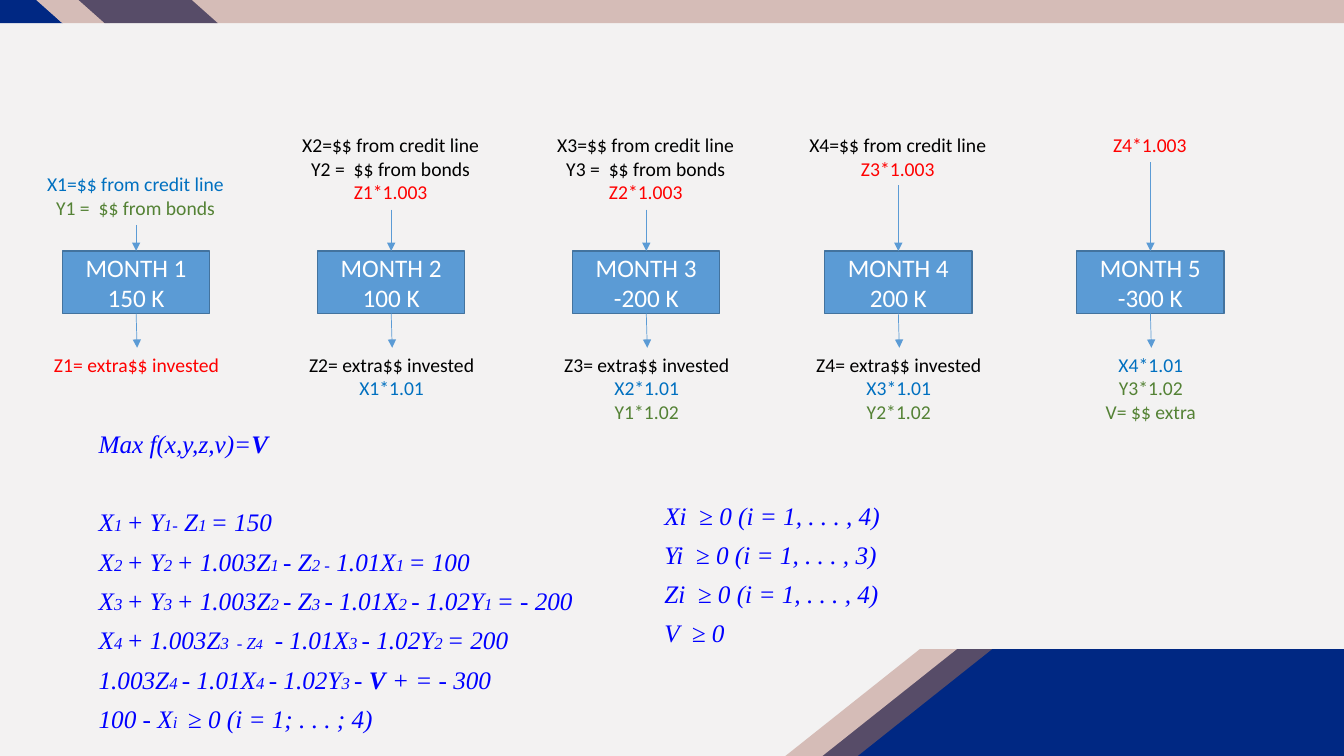
from lxml import etree
from pptx import Presentation
from pptx.dml import color
from pptx.enum import shapes, text
from pptx.oxml import ns
from pptx.util import Pt

PX = 9144
NAVY, PLUM, ROSE = "002883", "574C68", "D5BCB7"
BLACK, BLUE, GREEN, RED = "000000", "0070C0", "548235", "FF0000"
WHITE, FORMULA, BOX, EDGE = "FFFFFF", "0000FF", "5B9BD5", "43739E"


def paint(fill, colour):
    fill.solid()
    fill.fore_color.rgb = color.RGBColor.from_string(colour)


def write(frame, lines, frame_format, paragraph_format, font_name):
    for name, value in frame_format.items():
        setattr(frame, name, value)
    for index, runs in enumerate(lines):
        paragraph = frame.add_paragraph() if index else frame.paragraphs[0]
        for name, value in paragraph_format.items():
            setattr(paragraph, name, value)
        for words, colour, font_format in runs:
            run = paragraph.add_run()
            run.text = words
            run.font.name = font_name
            paint(run.font.fill, colour)
            for name, value in font_format.items():
                setattr(run.font, name, value)


presentation = Presentation()
presentation.slide_width = 1333 * PX
presentation.slide_height = 750 * PX
slide = presentation.slides.add_slide(presentation.slide_layouts[6])
paint(slide.background.fill, "F3F2F2")

outlines = [
    (NAVY, [(847, 750), (980, 644), (1333, 644), (1333, 750)]),
    (NAVY, [(0, 23), (0, 0), (37, 0), (62, 23)]),
    (ROSE, [(1333, 23), (1333, 0), (187, 0), (213, 23)]),
]
for colour, points in outlines:
    builder = slide.shapes.build_freeform(*points[0], scale=PX)
    builder.add_line_segments(points[1:], close=True)
    shape = builder.convert_to_shape()
    shape.shadow.inherit = False
    paint(shape.fill, colour)
    shape.line.fill.background()

bands = [
    (ROSE, 36, 0, 73, 23, 1.125, True),
    (PLUM, 78, 0, 138, 23, 1.125, True),
    (PLUM, 814, 644, 170, 106, 1.258, False),
    (ROSE, 779, 644, 170, 106, 1.258, False),
]
for colour, left, top, width, height, slant, flipped in bands:
    shape = slide.shapes.add_shape(
        shapes.MSO_SHAPE.PARALLELOGRAM, left * PX, top * PX, width * PX, height * PX)
    shape.adjustments[0] = slant
    if flipped:
        shape.element.spPr.get_or_add_xfrm().set("flipH", "1")
    shape.shadow.inherit = False
    paint(shape.fill, colour)
    shape.line.fill.background()

box_frame = {"word_wrap": True, "vertical_anchor": text.MSO_ANCHOR.MIDDLE}
note_frame = {"word_wrap": True, "auto_size": text.MSO_AUTO_SIZE.SHAPE_TO_FIT_TEXT}
centred = {"alignment": text.PP_ALIGN.CENTER}

months = [
    (62, 166, "150 K",
     [("X1=$$ from credit line", BLUE), ("Y1 =  $$ from bonds", GREEN)],
     [("Z1= extra$$ invested", RED)]),
    (315, 127, "100 K",
     [("X2=$$ from credit line", BLACK), ("Y2 =  $$ from bonds", BLACK), ("Z1*1.003", RED)],
     [("Z2= extra$$ invested", BLACK), ("X1*1.01", BLUE)]),
    (568, 127, "-200 K",
     [("X3=$$ from credit line", BLACK), ("Y3 =  $$ from bonds", BLACK), ("Z2*1.003", RED)],
     [("Z3= extra$$ invested", BLACK), ("X2*1.01", BLUE), ("Y1*1.02", GREEN)]),
    (818, 127, "200 K",
     [("X4=$$ from credit line", BLACK), ("Z3*1.003", RED)],
     [("Z4= extra$$ invested", BLACK), ("X3*1.01", BLUE), ("Y2*1.02", GREEN)]),
    (1068, 127, "-300 K",
     [("Z4*1.003", RED)],
     [("X4*1.01", BLUE), ("Y3*1.02", GREEN), ("V= $$ extra", GREEN)]),
]
for number, (left, inflow_top, amount, inflows, outflows) in enumerate(months, 1):
    box = slide.shapes.add_shape(
        shapes.MSO_SHAPE.RECTANGLE, left * PX, 249 * PX, 146 * PX, 62 * PX)
    box.shadow.inherit = False
    paint(box.fill, BOX)
    paint(box.line.fill, EDGE)
    box.line.width = Pt(1)
    labels = [[(words, WHITE, {"size": Pt(18)})] for words in (f"MONTH {number}", amount)]
    write(box.text_frame, labels, box_frame, centred, "Calibri")

    for offset, top, flows in ((-31, inflow_top, inflows), (-30, 345, outflows)):
        height = round(10 + 23.7 * len(flows))
        note = slide.shapes.add_textbox(
            (left + offset) * PX, top * PX, 207 * PX, height * PX)
        lines = [[(words, colour, {"size": Pt(14)})] for words, colour in flows]
        write(note.text_frame, lines, note_frame, centred, "Calibri")

    middle = left + 73
    inflow_bottom = inflow_top + round(10 + 23.7 * len(inflows))
    for start, end, drift in ((inflow_bottom, 249, 0), (311, 345, 1)):
        arrow = slide.shapes.add_connector(
            shapes.MSO_CONNECTOR.STRAIGHT,
            middle * PX, start * PX, (middle + drift) * PX, end * PX)
        paint(arrow.line.fill, BOX)
        arrow.line.width = Pt(0.5)
        etree.SubElement(arrow.line._get_or_add_ln(), ns.qn("a:tailEnd"), type="triangle")
        etree.SubElement(arrow.element.spPr, ns.qn("a:effectLst"))

run_styles = {
    "_": {"size": Pt(12)},
    "^": {"size": Pt(10)},
    "*": {"size": Pt(18), "bold": True},
}
model = [
    "Max f(x,y,z,v)=|*V",
    "X|_1 |+ Y|_1-| Z|_1 |= 150",
    "X|_2 |+ Y|_2 |+ 1.003Z|_1 |- Z|_2 -| 1.01X|_1 |= 100",
    "X|_3 |+ Y|_3 |+ 1.003Z|_2 |- Z|_3 |- 1.01X|_2 |- 1.02Y|_1 |= - 200",
    "X|_4 |+ 1.003Z|_3 |^ |_- Z|^4 |_  |- 1.01X|_3 |- 1.02Y|_2 |= 200",
    "1.003Z|_4 |- 1.01X|_4 |- 1.02Y|_3 |- |*V| + = - 300",
    "100 - X|_i | ≥ 0 (i = 1; . . . ; 4)",
]
bounds = [
    "Xi  ≥ 0 (i = 1, . . . , 4)",
    "Yi  ≥ 0 (i = 1, . . . , 3)",
    "Zi  ≥ 0 (i = 1, . . . , 4)",
    "V  ≥ 0",
]
for left, top, width, height, formulas in ((88, 411, 667, 325, model), (649, 482, 247, 168, bounds)):
    formula_box = slide.shapes.add_textbox(left * PX, top * PX, width * PX, height * PX)
    lines = []
    for formula in formulas:
        runs = []
        for part in formula.split("|"):
            style = run_styles.get(part[0], {"size": Pt(18)})
            words = part[1:] if part[0] in run_styles else part
            runs.append((words, FORMULA, {"italic": True, **style}))
        lines.append(runs)
    write(formula_box.text_frame, lines, note_frame, {"line_spacing": 1.3}, "Times New Roman")
    if formulas is model:
        formula_box.text_frame.paragraphs[1].space_before = Pt(28)

presentation.save("out.pptx")
